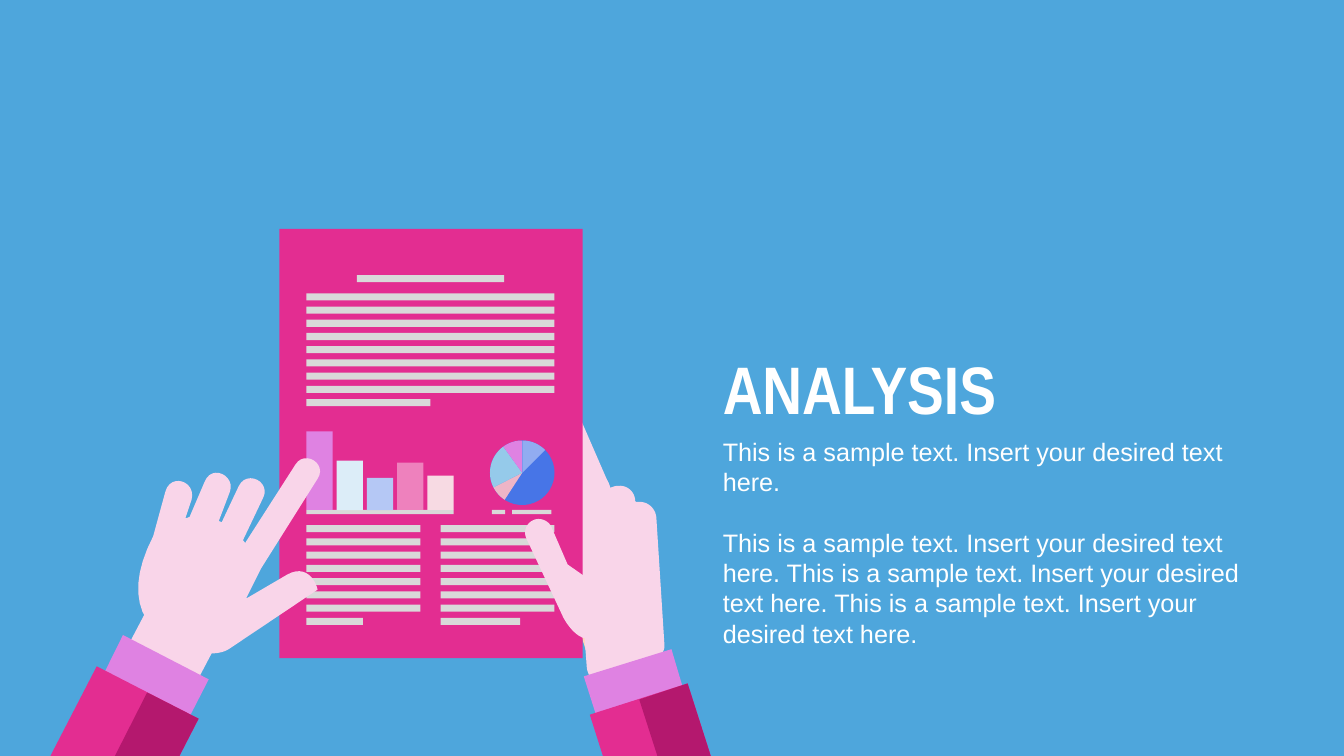
import math
import pptx
import pptx.dml.color
import pptx.enum.shapes
import pptx.enum.text
import pptx.util
import lxml.etree

Inches = pptx.util.Inches
Pt = pptx.util.Pt

THEME = {
    "sky": "4EA6DC", "magenta": "E32D91", "plum": "B4186E", "orchid": "DF82E2",
    "skin": "F9D5E9", "peach": "FFD7B7", "rule": "D9D9D9", "blue": "4775E7",
    "rose": "EEB5C7", "aqua": "95CAEA", "periwinkle": "91ACF1", "ice": "DCEDF8",
    "lavender": "B5C8F5", "pink": "EE81BD", "blush": "F7DAE3", "white": "FFFFFF",
    "heading_size": 48, "body_size": 18, "line_size": 21.6,
    "heading_font": "Arial Narrow", "body_font": "Arial",
}

HEADING = "ANALYSIS"
SAMPLES = [
    "This is a sample text. Insert your desired text here.",
    "This is a sample text. Insert your desired text here. This is a sample text. "
    "Insert your desired text here. This is a sample text. Insert your desired text here.",
]
TEXTS = [
    {"at": (7.07, 3.49, 5.48, 0.72), "lines": [HEADING], "anchor": "MIDDLE",
     "font": "heading_font", "size": "heading_size", "bold": True, "spacing": None},
    {"at": (7.07, 4.28, 5.48, 2.22), "lines": SAMPLES, "anchor": "TOP",
     "font": "body_font", "size": "body_size", "bold": False, "spacing": "line_size"},
]

PAGE = (2.77, 2.27, 3.01, 4.26)
RULE_HEIGHT = 0.07
SINGLE_RULES = [
    (3.54, 2.73, 1.46, RULE_HEIGHT), (3.04, 5.06, 1.46, 0.04),
    (4.88, 5.06, 0.13, 0.04), (5.08, 5.06, 0.39, 0.04),
]
PARAGRAPHS = [
    {"left": 3.04, "first": 2.91, "last": 3.96, "count": 9, "width": 2.46, "tail": 1.23},
    {"left": 3.04, "first": 5.21, "last": 6.13, "count": 8, "width": 1.13, "tail": 0.56},
    {"left": 4.37, "first": 5.21, "last": 6.13, "count": 8, "width": 1.13, "tail": 0.79},
]
BAR_LEFT, BAR_BASE, BAR_WIDTH, BAR_STEP = 3.04, 5.06, 0.26, 0.3
BARS = [(0.78, "orchid"), (0.49, "ice"), (0.32, "lavender"), (0.47, "pink"), (0.34, "blush")]
PIE_X, PIE_Y, PIE_RADIUS = 5.18, 4.69, 0.32
WEDGES = [(213, 243, "rose"), (243, 324, "aqua"), (324, 360, "orchid"), (0, 45, "periwinkle")]

# Two numbers end a straight edge; six numbers end a cubic curve.
RIGHT_HAND_BEHIND = [
    ("peach", [(5.95, 6.89), (6.63, 6.67), (6.46, 6.14), (6.49, 5.49), (5.54, 5.6)]),
    ("skin", [
        (6.33, 4.98), (6.42, 4.97, 6.5, 5.04, 6.51, 5.13), (6.59, 6.39),
        (6.6, 6.47, 6.53, 6.55, 6.44, 6.55), (6.42, 6.55), (6.43, 6.65),
        (6.43, 6.74, 6.36, 6.82, 6.27, 6.83), (6.21, 6.83, 6.15, 6.8, 6.12, 6.75),
        (6.09, 6.77, 6.05, 6.79, 6.01, 6.79), (5.91, 6.8, 5.83, 6.72, 5.82, 6.62),
        (5.69, 4.87), (5.69, 4.77, 5.76, 4.69, 5.86, 4.68),
        (5.96, 4.68, 6.04, 4.75, 6.05, 4.84), (6.08, 4.83, 6.1, 4.82, 6.13, 4.82),
        (6.22, 4.81, 6.3, 4.88, 6.3, 4.97), (6.31, 4.98)]),
    ("skin", [
        (5.53, 3.94), (5.59, 3.91, 5.67, 3.94, 5.69, 4), (6.12, 4.99), (5.85, 5),
        (5.47, 4.11), (5.44, 4.04, 5.47, 3.97, 5.53, 3.94)]),
]
HANDS_IN_FRONT = [
    ("skin", [
        (6.33, 7.11), (6.41, 7.09), (6.37, 6.98), (6.01, 6.14),
        (5.94, 5.97, 5.81, 5.98, 5.7, 6.02), (6.11, 7.01),
        (6.15, 7.09, 6.24, 7.14, 6.33, 7.11)]),
    ("orchid", [(5.79, 6.71), (6.66, 6.44), (6.79, 6.88), (5.93, 7.15)]),
    ("magenta", [(5.85, 7.09), (6.82, 6.78), (7.05, 7.5), (5.98, 7.5)]),
    ("plum", [(6.34, 6.94), (6.82, 6.78), (7.05, 7.5), (6.52, 7.5)]),
    ("skin", [
        (5.29, 5.16), (5.35, 5.13, 5.44, 5.16, 5.47, 5.23), (5.63, 5.6), (5.96, 5.83),
        (6.42, 6.1), (6.19, 6.56), (5.86, 6.33), (5.75, 6.37, 5.62, 6.2, 5.58, 6.11),
        (5.22, 5.34), (5.19, 5.27, 5.22, 5.19, 5.29, 5.16)]),
    ("skin", [(1.52, 5.93), (2.2, 6.29), (1.7, 7.24), (1.02, 6.88)]),
    ("skin", [
        (2.59, 5.64), (2.55, 5.72, 2.5, 5.82, 2.44, 5.94), (2.85, 5.7),
        (3.03, 5.6, 3.13, 5.75, 3.15, 5.85), (2.27, 6.44),
        (2.14, 6.52, 1.93, 6.48, 1.74, 6.39), (1.36, 6.21, 1.25, 5.84, 1.52, 5.32),
        (1.64, 4.88), (1.69, 4.69, 1.95, 4.77, 1.9, 4.96), (1.84, 5.14),
        (1.86, 5.14, 1.87, 5.13, 1.88, 5.13), (2.03, 4.78),
        (2.1, 4.6, 2.34, 4.72, 2.28, 4.88), (2.17, 5.17),
        (2.18, 5.17, 2.19, 5.18, 2.2, 5.18), (2.37, 4.82),
        (2.45, 4.66, 2.69, 4.78, 2.61, 4.94), (2.41, 5.36),
        (2.42, 5.37, 2.43, 5.38, 2.43, 5.39), (2.93, 4.61),
        (3.02, 4.46, 3.25, 4.6, 3.15, 4.75)]),
    ("orchid", [(1.22, 6.3), (2.07, 6.74), (1.68, 7.5), (1.23, 7.5), (0.75, 7.25)]),
    ("magenta", [(1.78, 7.5), (1.97, 7.13), (0.96, 6.61), (0.5, 7.5)]),
    ("plum", [(1.78, 7.5), (1.97, 7.13), (1.46, 6.87), (1.14, 7.5)]),
]
CURVE_STEPS = 12


def colour(key):
    return pptx.dml.color.RGBColor.from_string(THEME[key])


def paint(part, key):
    part.shadow.inherit = False
    part.fill.solid()
    part.fill.fore_color.rgb = colour(key)
    part.line.fill.background()


def add_preset(slide, at, key, preset="RECTANGLE"):
    kind = getattr(pptx.enum.shapes.MSO_SHAPE, preset)
    paint(slide.shapes.add_shape(kind, *map(Inches, at)), key)


def flatten(edges):
    points = [edges[0]]
    for edge in edges[1:]:
        if len(edge) == 2:
            points.append(edge)
            continue
        corners = [points[-1], edge[:2], edge[2:4], edge[4:]]
        for step in range(1, CURVE_STEPS + 1):
            t = step / CURVE_STEPS
            weights = [math.comb(3, i) * t ** i * (1 - t) ** (3 - i) for i in range(4)]
            points.append(tuple(sum(w * c[axis] for w, c in zip(weights, corners))
                                for axis in (0, 1)))
    return points


def add_outline(slide, key, edges):
    start, *rest = [(Inches(x), Inches(y)) for x, y in flatten(edges)]
    outline = slide.shapes.build_freeform(*start)
    outline.add_line_segments(rest, close=True)
    paint(outline.convert_to_shape(), key)


def add_report(slide):
    add_preset(slide, PAGE, "magenta")
    for at in SINGLE_RULES:
        add_preset(slide, at, "rule")
    for block in PARAGRAPHS:
        pitch = (block["last"] - block["first"]) / (block["count"] - 1)
        for row in range(block["count"]):
            width = block["tail"] if row == block["count"] - 1 else block["width"]
            top = block["first"] + row * pitch
            add_preset(slide, (block["left"], top, width, RULE_HEIGHT), "rule")
    for column, (height, key) in enumerate(BARS):
        left = BAR_LEFT + column * BAR_STEP
        add_preset(slide, (left, BAR_BASE - height, BAR_WIDTH, height), key)
    disc = (PIE_X - PIE_RADIUS, PIE_Y - PIE_RADIUS, 2 * PIE_RADIUS, 2 * PIE_RADIUS)
    add_preset(slide, disc, "blue", "OVAL")
    for begin, end, key in WEDGES:
        angles = [math.radians(degree) for degree in range(begin, end + 1, 3)]
        rim = [(PIE_X + PIE_RADIUS * math.sin(a), PIE_Y - PIE_RADIUS * math.cos(a))
               for a in angles]
        add_outline(slide, key, [(PIE_X, PIE_Y)] + rim)


def add_text(slide, entry):
    frame = slide.shapes.add_textbox(*map(Inches, entry["at"])).text_frame
    frame.word_wrap = True
    frame.vertical_anchor = getattr(pptx.enum.text.MSO_ANCHOR, entry["anchor"])
    formats = {"name": THEME[entry["font"]], "size": Pt(THEME[entry["size"]]),
               "bold": entry["bold"]}
    for index, line in enumerate(entry["lines"]):
        paragraph = frame.add_paragraph() if index else frame.paragraphs[0]
        if entry["spacing"]:
            paragraph.line_spacing = Pt(THEME[entry["spacing"]])
            if index:
                paragraph.space_before = Pt(THEME[entry["spacing"]])
        run = paragraph.add_run()
        run.text = line
        for attribute, value in formats.items():
            setattr(run.font, attribute, value)
        run.font.color.rgb = colour("white")


def main():
    deck = pptx.Presentation()
    deck.slide_width, deck.slide_height = Inches(13.33), Inches(7.5)
    slide = deck.slides.add_slide(deck.slide_layouts[6])
    slide.background.fill.solid()
    slide.background.fill.fore_color.rgb = colour("sky")
    for key, edges in RIGHT_HAND_BEHIND:
        add_outline(slide, key, edges)
    add_report(slide)
    for key, edges in HANDS_IN_FRONT:
        add_outline(slide, key, edges)
    for entry in TEXTS:
        add_text(slide, entry)
    deck.save("out.pptx")


if __name__ == "__main__":
    main()
